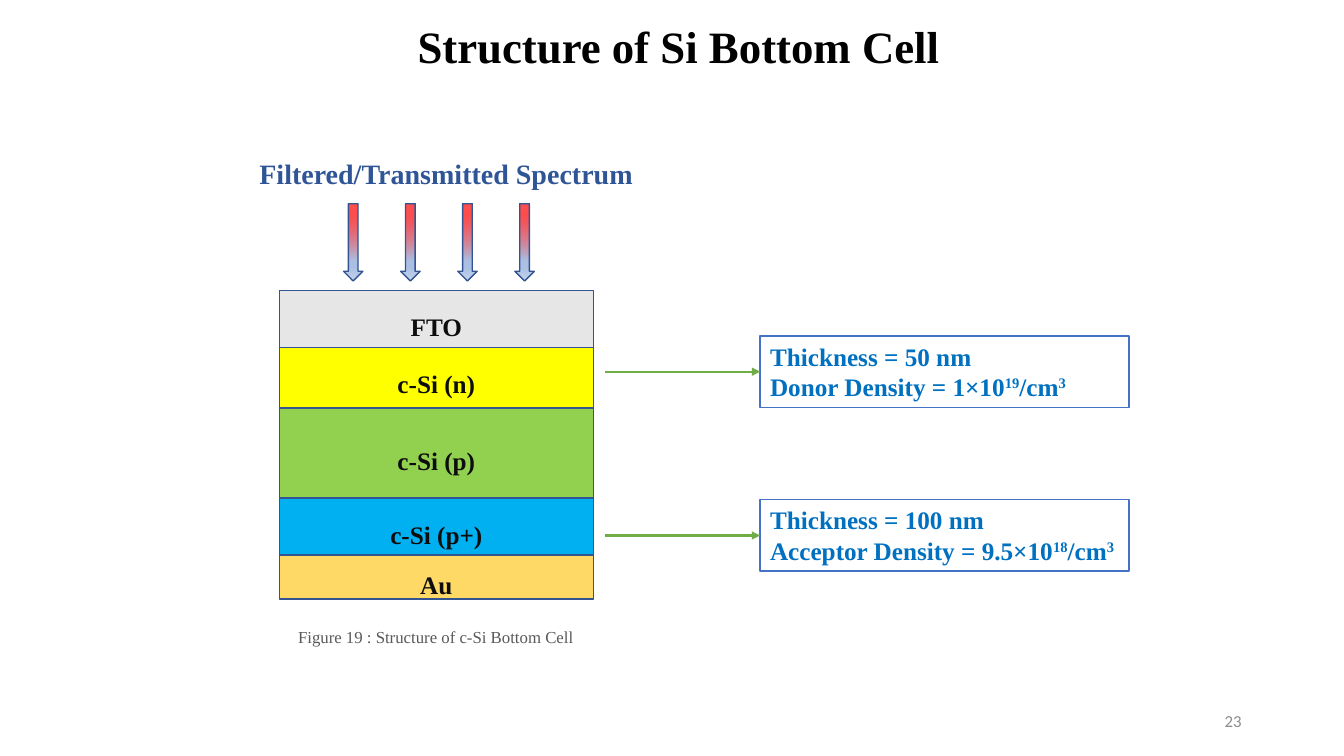
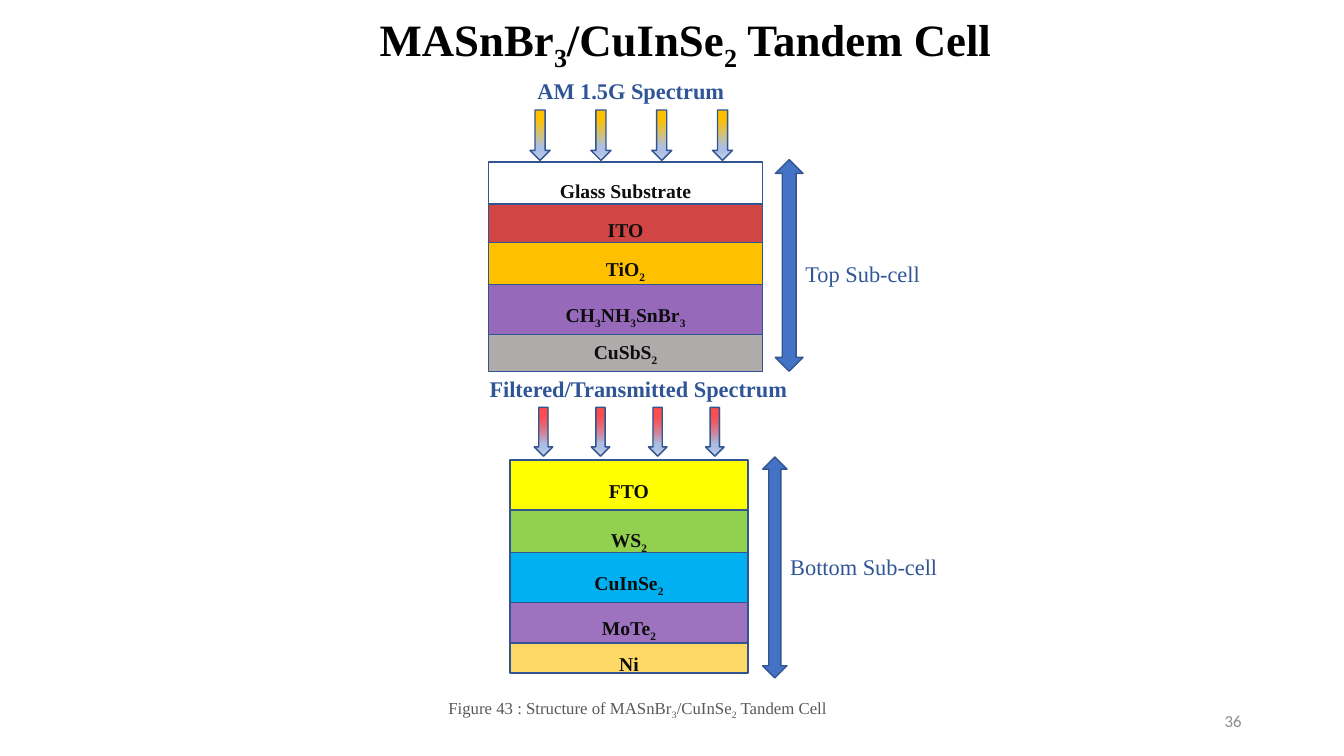
import pptx
import pptx.util
import pptx.dml.color
import pptx.enum.shapes
import pptx.enum.text
import pptx.oxml.ns
import lxml.etree

RGBColor = pptx.dml.color.RGBColor
Shape = pptx.enum.shapes.MSO_SHAPE
Align = pptx.enum.text.PP_ALIGN
Anchor = pptx.enum.text.MSO_ANCHOR
qn = pptx.oxml.ns.qn

BLACK = RGBColor(0x00, 0x00, 0x00)
INK = RGBColor(0x0D, 0x0D, 0x0D)
CAPTION_GREY = RGBColor(0x59, 0x59, 0x59)
NUMBER_GREY = RGBColor(0x8C, 0x8C, 0x8C)
OUTLINE = RGBColor(0x32, 0x54, 0x91)
LABEL_BLUE = RGBColor(0x2F, 0x55, 0x97)
NOTE_BLUE = RGBColor(0x00, 0x70, 0xC0)
SPAN_BLUE = RGBColor(0x44, 0x72, 0xC4)
GREEN_LINE = RGBColor(0x70, 0xAD, 0x47)
WHITE = RGBColor(0xFF, 0xFF, 0xFF)
SILVER = RGBColor(0xE7, 0xE6, 0xE6)
GREY = RGBColor(0xAF, 0xAB, 0xAB)
YELLOW = RGBColor(0xFF, 0xFF, 0x00)
GREEN = RGBColor(0x92, 0xD0, 0x50)
CYAN = RGBColor(0x00, 0xB0, 0xF0)
GOLD = RGBColor(0xFF, 0xD9, 0x66)
AMBER = RGBColor(0xFF, 0xC0, 0x00)
CRIMSON = RGBColor(0xC0, 0x00, 0x00)
PURPLE = RGBColor(0x70, 0x30, 0xA0)
RED = RGBColor(0xFF, 0x00, 0x00)
SKY = RGBColor(0xAB, 0xC0, 0xE4)
PALE_SKY = RGBColor(0xC7, 0xD5, 0xED)

SKY_STOPS = [(74, SKY, 100), (83, SKY, 100), (100, PALE_SKY, 100)]
SUNLIGHT = [(19, AMBER, 100)] + SKY_STOPS
FILTERED = [(14, RED, 70)] + SKY_STOPS

COLUMNS, ROWS = 160, 90
SUBSCRIPT, SUPERSCRIPT = -25, 30


def add_alpha(colour_element, percent):
    alpha = lxml.etree.SubElement(colour_element, qn("a:alpha"))
    alpha.set("val", str(percent * 1000))


class CellDeck:
    """Style and current slide; lengths are columns and rows of the grid."""

    serif = "Times New Roman"

    def __init__(self):
        self.deck = pptx.Presentation()
        self.deck.slide_width = pptx.util.Emu(12192000)
        self.deck.slide_height = pptx.util.Emu(6858000)
        self.page = None

    def place(self, left, top, width, height):
        column = self.deck.slide_width / COLUMNS
        row = self.deck.slide_height / ROWS
        return [pptx.util.Emu(round(length)) for length in
                (left * column, top * row, width * column, height * row)]

    def set_text(self, box, lines, size, colour, bold=False, align=Align.LEFT,
                 anchor=Anchor.TOP, spacing=1.0, after=0, wrap=True,
                 font=serif, shift=SUBSCRIPT):
        """Fill a box; text between a pair of | is raised or lowered."""
        frame = box.text_frame
        frame.auto_size = pptx.enum.text.MSO_AUTO_SIZE.NONE
        frame.word_wrap = wrap
        frame.vertical_anchor = anchor
        for index, line in enumerate(lines):
            para = frame.add_paragraph() if index else frame.paragraphs[0]
            para.alignment = align
            para.line_spacing = spacing
            para.space_after = pptx.util.Pt(after)
            para.font.name = font
            para.font.size = pptx.util.Pt(size)
            para.font.bold = bold
            para.font.color.rgb = colour
            for position, piece in enumerate(line.split("|")):
                if piece:
                    span = para.add_run()
                    span.text = piece
                    if position % 2:
                        properties = span._r.get_or_add_rPr()
                        properties.set("baseline", str(shift * 1000))

    def start(self, title, number, left, top):
        self.page = self.deck.slides.add_slide(self.deck.slide_layouts[5])
        box = self.page.shapes.title
        box.left, box.top, box.width, box.height = self.place(left, top, 120, 6.24)
        self.set_text(box, [title], 32, BLACK, bold=True, align=Align.CENTER,
                      anchor=Anchor.BOTTOM, spacing=0.9)
        self.text(number, (113, 83.4, 36, 4.8), 12, NUMBER_GREY, align=Align.RIGHT,
                  anchor=Anchor.MIDDLE, font="Calibri")

    def text(self, line, area, size, colour, **style):
        box = self.page.shapes.add_textbox(*self.place(*area))
        self.set_text(box, [line], size, colour, **style)

    def label(self, line, area, size=16, bold=True):
        self.text(line, area, size, LABEL_BLUE, bold=bold, wrap=False)

    def caption(self, line, area):
        self.text(line, area, 12, CAPTION_GREY, align=Align.CENTER,
                  spacing=1.5, after=10)

    def shape(self, kind, area, fill=None, line=OUTLINE):
        box = self.page.shapes.add_shape(kind, *self.place(*area))
        box.shadow.inherit = False
        box.line.color.rgb = line
        box.line.width = pptx.util.Pt(1)
        if fill is None:
            box.fill.background()
        else:
            box.fill.solid()
            box.fill.fore_color.rgb = fill
        return box

    def stack(self, left, top, width, size, layers):
        """Draw layers downwards: text, height, colour, anchor, opacity."""
        for line, height, colour, anchor, opacity in layers:
            box = self.shape(Shape.RECTANGLE, (left, top, width, height), colour)
            if opacity < 100:
                add_alpha(box._element.spPr.find(qn("a:solidFill"))[0], opacity)
            self.set_text(box, [line], size, INK, bold=True, align=Align.CENTER,
                          anchor=anchor, spacing=1.5, after=8)
            top += height

    def rays(self, left, top, width, height, pitch, stops):
        """Draw four equally spaced light arrows with a gradient."""
        for index in range(4):
            area = (left + index * pitch, top, width, height)
            arrow = self.shape(Shape.DOWN_ARROW, area)
            arrow.fill.gradient()
            arrow.fill.gradient_angle = 270
            stop_list = arrow._element.spPr.find(".//" + qn("a:gsLst"))
            for stop in list(stop_list):
                stop_list.remove(stop)
            for position, colour, opacity in stops:
                stop = lxml.etree.SubElement(stop_list, qn("a:gs"))
                stop.set("pos", str(position * 1000))
                tint = lxml.etree.SubElement(stop, qn("a:srgbClr"))
                tint.set("val", str(colour))
                if opacity < 100:
                    add_alpha(tint, opacity)

    def extent(self, left, top, width, height):
        self.shape(Shape.UP_DOWN_ARROW, (left, top, width, height), SPAN_BLUE)

    def note(self, lines, top):
        """Outlined note with an arrow from the stack to its left side."""
        left, width, height = 90.5, 43.9, 8.5
        box = self.shape(Shape.RECTANGLE, (left, top, width, height), line=SPAN_BLUE)
        self.set_text(box, lines, 18, NOTE_BLUE, bold=True, shift=SUPERSCRIPT)
        x, y, end, _ = self.place(72.05, top + height / 2, left, 0)
        arrow = self.page.shapes.add_connector(
            pptx.enum.shapes.MSO_CONNECTOR.STRAIGHT, x, y, end, y)
        arrow.end_connect(box, 1)
        arrow.line.color.rgb = GREEN_LINE
        arrow.line.width = pptx.util.Pt(1.5)
        tail = lxml.etree.SubElement(arrow.line._get_or_add_ln(), qn("a:tailEnd"))
        tail.set("type", "triangle")
        lxml.etree.SubElement(arrow._element.spPr, qn("a:effectLst"))


def bottom_cell(cell):
    cell.start("Structure of Si Bottom Cell", "23", 20.8, 3.1)
    cell.label("Filtered/Transmitted Spectrum", (29.7, 18.1, 47, 4.8), size=20)
    cell.rays(40.9, 24.25, 2.3, 9.2, 6.8, FILTERED)
    cell.stack(33.25, 34.6, 37.4, 18, [
        ("FTO", 6.8, SILVER, Anchor.MIDDLE, 100),
        ("c-Si (n)", 7.2, YELLOW, Anchor.TOP, 100),
        ("c-Si (p)", 10.7, GREEN, Anchor.MIDDLE, 100),
        ("c-Si (p+)", 6.8, CYAN, Anchor.MIDDLE, 100),
        ("Au", 5.2, GOLD, Anchor.MIDDLE, 100),
    ])
    cell.note(["Thickness = 50 nm", "Donor Density = 1×10|19|/cm|3|"], 40)
    cell.note(["Thickness = 100 nm", "Acceptor Density = 9.5×10|18|/cm|3|"], 59.5)
    cell.caption("Figure 19 : Structure of c-Si Bottom Cell", (30.8, 72.8, 42.2, 4.4))


def tandem_cell(cell):
    cell.start("MASnBr|3|/CuInSe|2| Tandem Cell", "36", 21.6, 2.4)

    cell.label("AM 1.5G Spectrum", (62.8, 8.6, 25, 4.4))
    cell.rays(63.1, 13.1, 2.4, 6, 7.24, SUNLIGHT)
    cell.stack(58.15, 19.3, 32.65, 14, [
        ("Glass Substrate", 5, WHITE, Anchor.TOP, 100),
        ("ITO", 4.6, CRIMSON, Anchor.MIDDLE, 73),
        ("TiO|2|", 4.95, AMBER, Anchor.MIDDLE, 100),
        ("CH|3|NH|3|SnBr|3|", 6, PURPLE, Anchor.TOP, 72),
        ("CuSbS|2|", 4.4, GREY, Anchor.BOTTOM, 100),
    ])
    cell.extent(92.3, 19, 3.3, 25.2)
    cell.label("Top Sub-cell", (94.7, 30.4, 16.2, 4.4), bold=False)

    cell.label("Filtered/Transmitted Spectrum", (57.1, 44.1, 38.4, 4.4))
    cell.rays(63.6, 48.5, 2.2, 5.8, 6.8, FILTERED)
    cell.stack(60.7, 54.75, 28.35, 14, [
        ("FTO", 5.95, YELLOW, Anchor.MIDDLE, 100),
        ("WS|2|", 5.05, GREEN, Anchor.TOP, 100),
        ("CuInSe|2|", 5.95, CYAN, Anchor.TOP, 100),
        ("MoTe|2|", 4.85, PURPLE, Anchor.MIDDLE, 68),
        ("Ni", 3.6, GOLD, Anchor.MIDDLE, 100),
    ])
    cell.extent(90.8, 54.4, 2.9, 26.3)
    cell.label("Bottom Sub-cell", (92.9, 65.3, 20.2, 4.4), bold=False)
    cell.caption("Figure 43 : Structure of MASnBr|3|/CuInSe|2| Tandem Cell",
                 (49.7, 81.1, 52.4, 4.4))


def main():
    cell = CellDeck()
    bottom_cell(cell)
    tandem_cell(cell)
    cell.deck.save("out.pptx")


if __name__ == "__main__":
    main()
